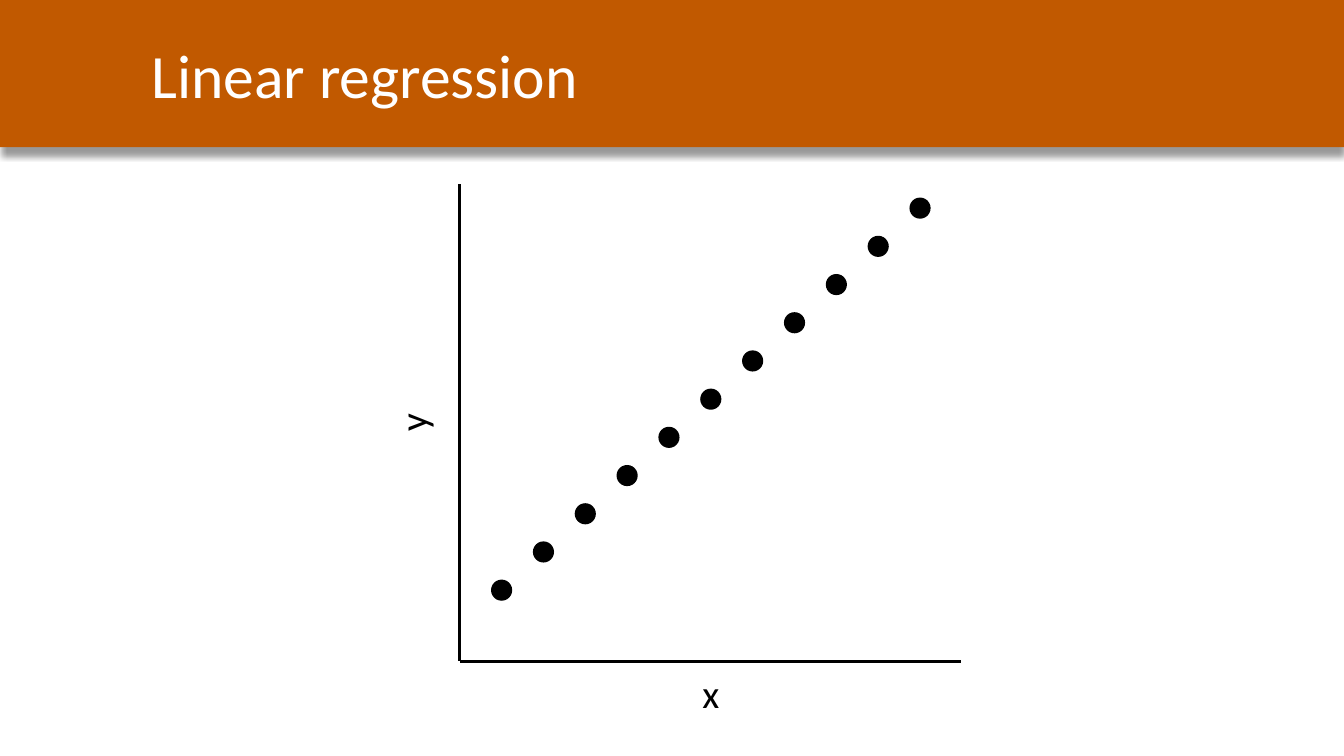
import pptx
import pptx.util
import pptx.dml.color
import pptx.enum.shapes
import pptx.enum.text
import pptx.oxml
import pptx.oxml.ns

Inches = pptx.util.Inches
RGBColor = pptx.dml.color.RGBColor
Shape = pptx.enum.shapes.MSO_SHAPE
Align = pptx.enum.text.PP_ALIGN
Anchor = pptx.enum.text.MSO_ANCHOR
Fit = pptx.enum.text.MSO_AUTO_SIZE

# Content
TITLE = "Linear regression"
LABELS = [("x", (4.56, 6.59, 4.98, 0.57), 0),
          ("y", (1.72, 3.91, 4.73, 0.57), 270)]
AXES = [(4.56, 1.83, 4.56, 6.56), (4.56, 6.56, 9.53, 6.56)]
COUNT, SIZE = 11, 0.21
FIRST, LAST = (4.87, 5.75), (9.02, 1.96)

ORANGE = RGBColor(0xC1, 0x59, 0x00)
WHITE = RGBColor(0xFF, 0xFF, 0xFF)
BLACK = RGBColor(0x00, 0x00, 0x00)
FONT = "Calibri"
SHADOW = (
    '<a:effectLst %s><a:outerShdw blurRad="50800" dist="76200" dir="5400000" '
    'rotWithShape="0"><a:srgbClr val="000000"><a:alpha val="40000"/>'
    '</a:srgbClr></a:outerShdw></a:effectLst>' % pptx.oxml.ns.nsdecls("a"))
FLAT = "<a:effectLst %s/>" % pptx.oxml.ns.nsdecls("a")


def write(box, text, size=28, color=BLACK, align=Align.CENTER,
          anchor=Anchor.TOP, fit=Fit.SHAPE_TO_FIT_TEXT):
    frame = box.text_frame
    frame.word_wrap = True
    frame.auto_size = fit
    frame.vertical_anchor = anchor
    line = frame.paragraphs[0]
    line.text = text
    line.alignment = align
    line.font.name = FONT
    line.font.size = pptx.util.Pt(size)
    line.font.color.rgb = color


def draw(shapes, kind, place, color):
    part = shapes.add_shape(kind, *map(Inches, place))
    part.fill.solid()
    part.fill.fore_color.rgb = color
    part.line.fill.background()
    return part


deck = pptx.Presentation()
deck.slide_width, deck.slide_height = Inches(13.33), Inches(7.5)
slide = deck.slides.add_slide(deck.slide_layouts[5])

# Title on its band
title = slide.shapes.title
title.left, title.top = Inches(1.4), Inches(0.12)
title.width, title.height = Inches(11.93), Inches(1.22)
write(title, TITLE, size=44, color=WHITE, align=Align.LEFT,
      anchor=Anchor.MIDDLE, fit=Fit.NONE)
band = draw(slide.shapes, Shape.RECTANGLE, (0, 0, 13.33, 1.46), ORANGE)
band.element.spPr.append(pptx.oxml.parse_xml(SHADOW))
title.element.addprevious(band.element)

# Axes and their labels
plot = slide.shapes.add_group_shape().shapes
for ends in AXES:
    axis = plot.add_connector(pptx.enum.shapes.MSO_CONNECTOR.STRAIGHT,
                              *map(Inches, ends))
    axis.line.color.rgb = BLACK
    axis.line.width = pptx.util.Pt(2.25)
    axis.element.spPr.append(pptx.oxml.parse_xml(FLAT))
for text, place, turn in LABELS:
    label = plot.add_textbox(*map(Inches, place))
    label.rotation = turn
    write(label, text)

# Evenly spaced points
for i in range(COUNT):
    left, top = (a + (b - a) * i / (COUNT - 1) for a, b in zip(FIRST, LAST))
    dot = draw(slide.shapes, Shape.OVAL, (left, top, SIZE, SIZE), BLACK)
    dot.shadow.inherit = False

deck.save("out.pptx")
